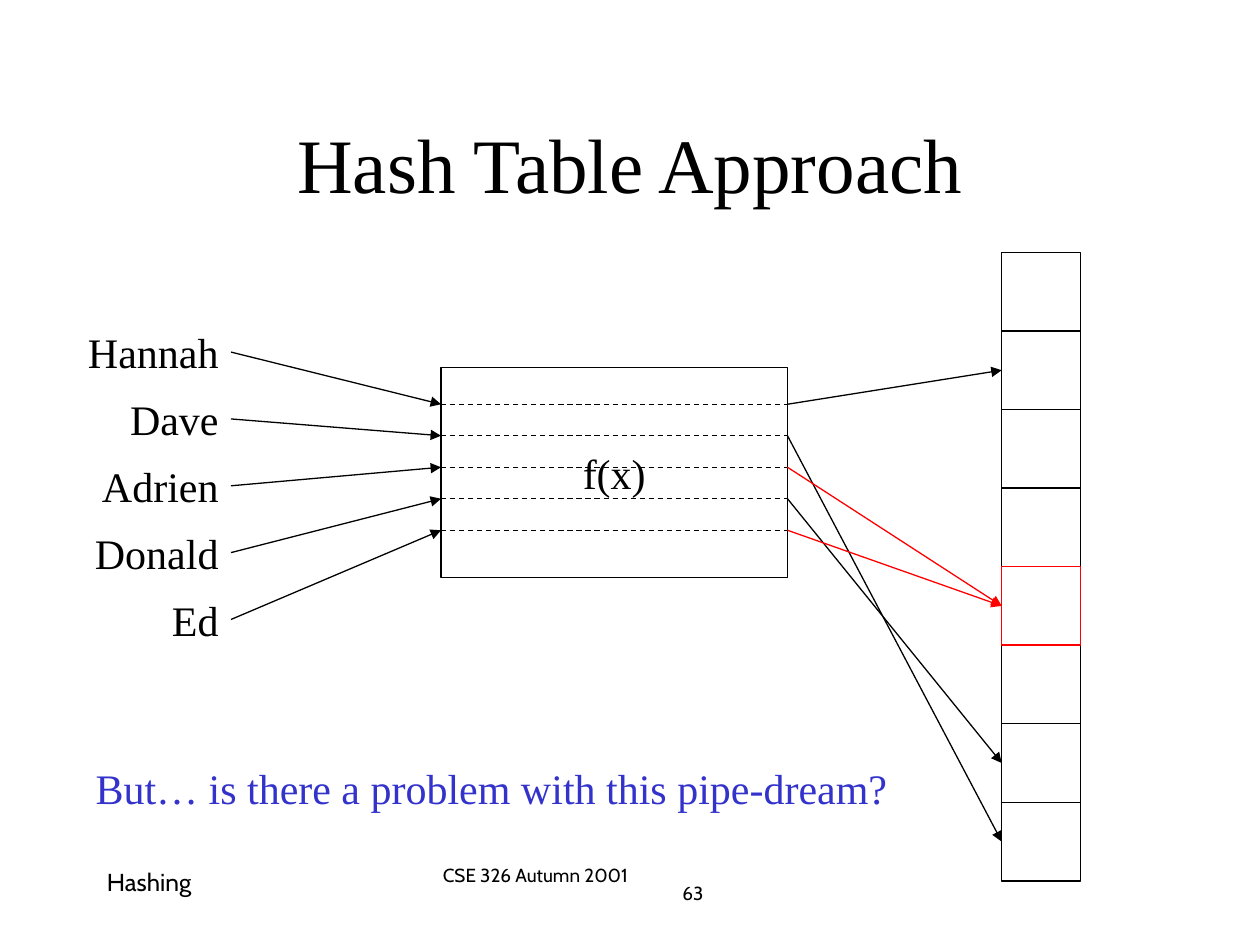
"""Builds a slide that shows names hashed by f(x) into the cells of a table."""
from lxml.etree import SubElement
from pptx import Presentation
from pptx.dml.color import RGBColor
from pptx.enum.dml import MSO_LINE
from pptx.enum.shapes import MSO_CONNECTOR, MSO_SHAPE
from pptx.enum.text import MSO_ANCHOR, MSO_AUTO_SIZE, PP_ALIGN
from pptx.oxml.ns import qn
from pptx.util import Pt

HUES = {"ink": "000000", "clash": "FF0000", "ask": "3333CC"}
SERIF, SANS = "Times New Roman", "Cabin"
TITLE = "Hash Table Approach"
ASK = "But… is there a problem with this pipe-dream?"
TOPIC = "Hashing"
COURSE = "CSE 326 Autumn 2001\t\t\t\t63"
# name, label width, target cell
KEYS = [
    ("Hannah", 89, 1),
    ("Dave", 65.5, 7),
    ("Adrien", 81, 4),
    ("Donald", 85.5, 6),
    ("Ed", 41.5, 4),
]
CELLS, CLASH = 8, 4
SIDE, HIGH, CELL_X, CELL_Y = 45, 44.9, 572.4, 144.2
BOX = (252, 210, 198, 120)
LANE_Y, LANE_GAP = 231, 18
NAME_R, NAME_Y, NAME_GAP, NAME_H = 132, 183.2, 38.2, 36


def tint(hue):
    return RGBColor.from_string(HUES[hue])


def write(shape, text, size, font=SERIF, hue="ink", align=PP_ALIGN.LEFT,
          anchor=MSO_ANCHOR.TOP, wrap=False):
    frame = shape.text_frame
    frame.text = text
    frame.word_wrap = wrap
    frame.vertical_anchor = anchor
    para = frame.paragraphs[0]
    para.alignment = align
    for run in para.runs:
        run.font.size = Pt(size)
        run.font.name = font
        run.font.color.rgb = tint(hue)
    return para


def label(area, text, size, wrap=False, **style):
    box = slide.shapes.add_textbox(*map(Pt, area))
    para = write(box, text, size, wrap=wrap, **style)
    if not wrap:
        box.text_frame.auto_size = MSO_AUTO_SIZE.SHAPE_TO_FIT_TEXT
    return box, para


def rect(area, hue="ink"):
    shape = slide.shapes.add_shape(MSO_SHAPE.RECTANGLE, *map(Pt, area))
    shape.shadow.inherit = False
    shape.fill.background()
    shape.line.color.rgb = tint(hue)
    shape.line.width = Pt(0.75)
    return shape


def link(start, end, hue="ink", dash=False):
    wire = slide.shapes.add_connector(
        MSO_CONNECTOR.STRAIGHT, *map(Pt, start + end))
    wire.line.color.rgb = tint(hue)
    wire.line.width = Pt(0.75)
    props = wire._element.spPr
    if dash:
        wire.line.dash_style = MSO_LINE.DASH
    else:
        SubElement(props.find(qn("a:ln")), qn("a:tailEnd"), type="triangle")
    SubElement(props, qn("a:effectLst"))
    return wire


deck = Presentation()
deck.slide_width, deck.slide_height = Pt(720), Pt(540)
slide = deck.slides.add_slide(deck.slide_layouts[5])

title = slide.shapes.title
title.left, title.top, title.width, title.height = map(Pt, (54, 48, 612, 90))
write(title, TITLE, 44, align=PP_ALIGN.CENTER, anchor=MSO_ANCHOR.MIDDLE,
      wrap=True)

label((54, 492, 150, 36), TOPIC, 14, font=SANS, wrap=True)
foot, para = label((246, 492.3, 228, 36), COURSE, 10.8, font=SANS,
                   align=PP_ALIGN.CENTER, wrap=True)
para.line_spacing = 0.8
tabs = SubElement(para._p.get_or_add_pPr(), qn("a:tabLst"))
for inch in range(8):
    SubElement(tabs, qn("a:tab"), pos=str(Pt(72 * inch)), algn="l")
label((47.5, 432, 467, 36), ASK, 24, hue="ask")

cells = {}
for row in sorted(range(CELLS), key=lambda row: row == CLASH):
    cells[row] = rect((CELL_X, CELL_Y + row * HIGH, SIDE, HIGH),
                      "clash" if row == CLASH else "ink")

hasher = rect(BOX)
write(hasher, "f(x)", 24, align=PP_ALIGN.CENTER, anchor=MSO_ANCHOR.MIDDLE)
left, right = BOX[0], BOX[0] + BOX[2]

for i, (name, width, row) in enumerate(KEYS):
    top, lane = NAME_Y + i * NAME_GAP, LANE_Y + i * LANE_GAP
    tag, para = label((NAME_R - width, top, width, NAME_H), name, 24,
                      align=PP_ALIGN.RIGHT)
    entry = link((NAME_R, top + NAME_H / 2), (left, lane))
    entry.begin_connect(tag, 3)
    link((left, lane), (right, lane), dash=True)
    leave = link((right, lane), (CELL_X, CELL_Y + (row + 0.5) * HIGH),
                 "clash" if row == CLASH else "ink")
    leave.end_connect(cells[row], 1)

deck.save("out.pptx")
